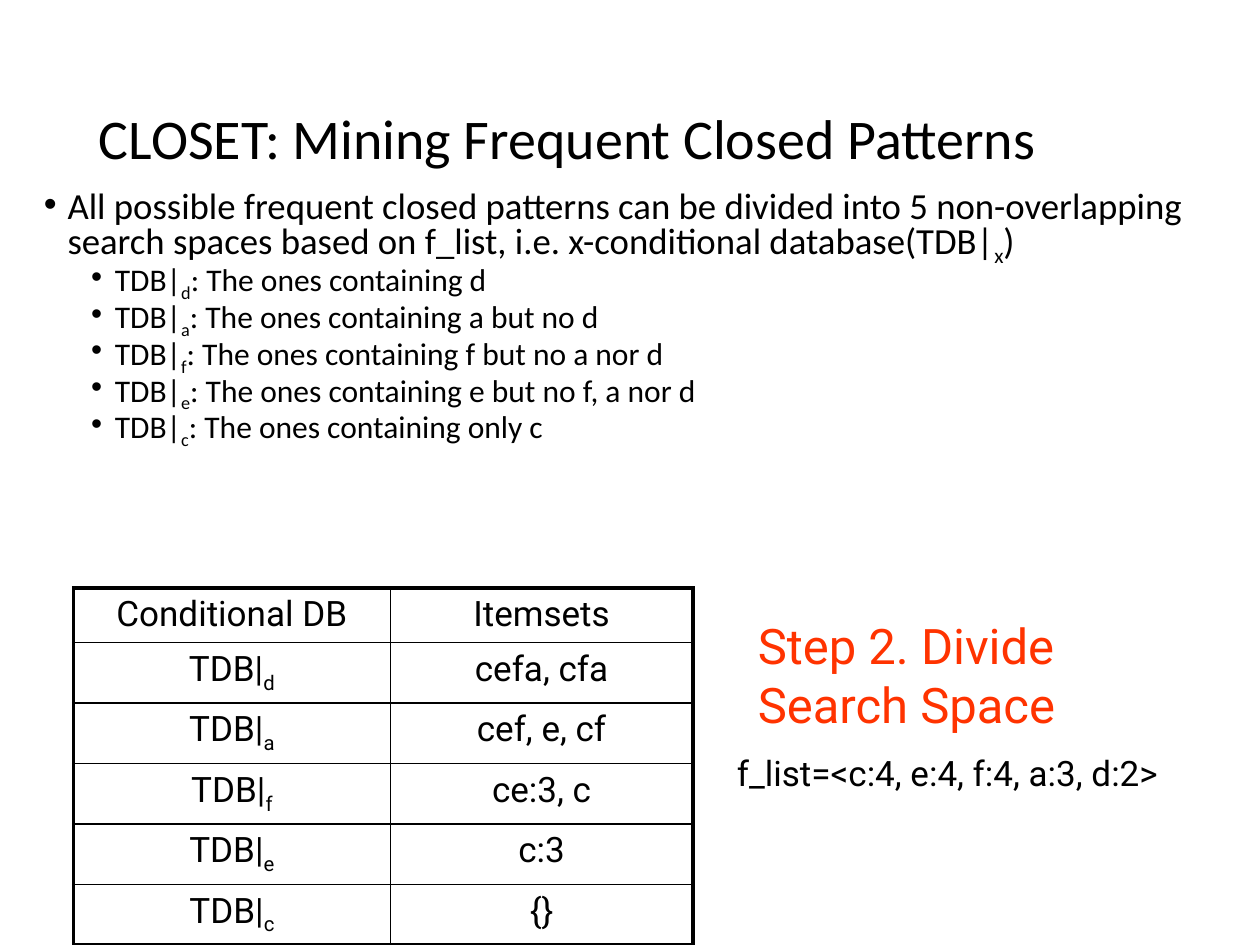
from dataclasses import dataclass

from lxml import etree
from pptx import Presentation
from pptx.dml.color import RGBColor
from pptx.enum import text
from pptx.oxml import ns
from pptx.util import Pt


@dataclass(frozen=True)
class Theme:
    """Fonts, colours and sizes used on the page."""
    heading_font: str = "Calibri"
    label_font: str = "Roboto"
    ink: str = "000000"
    accent: str = "FF3300"
    title: float = 32
    lead: float = 21
    item: float = 18
    label: float = 20
    step: float = 28
    outer_line: float = 2.25
    inner_line: float = 1


THEME = Theme()
SUBSPACES = [
    ("d", ": The ones containing d", "cefa, cfa"),
    ("a", ": The ones containing a but no d", "cef, e, cf"),
    ("f", ": The ones containing f but no a nor d", "ce:3, c"),
    ("e", ": The ones containing e but no f, a nor d", "c:3"),
    ("c", ": The ones containing only c", "{}"),
]


def write(para, parts, font, size, color=THEME.ink):
    """Fill a paragraph; every second part is a subscript."""
    for index, part in enumerate(parts):
        span = para.add_run()
        span.text = part
        span.font.name = font
        span.font.size = Pt(size)
        span.font.color.rgb = RGBColor.from_string(color)
        if index % 2:
            span.font._element.set("baseline", "-25000")


def add_box(page, left, top, width, height, wrap=True):
    """Add an empty text box and return its text frame."""
    frame = page.shapes.add_textbox(Pt(left), Pt(top), Pt(width), Pt(height)).text_frame
    frame.word_wrap = wrap
    return frame


def add_bullet(para, level, indent, before):
    """Give a paragraph a hanging bullet and tight lines."""
    para.level = level
    para.line_spacing = 0.7
    para.space_before = Pt(before)
    props = para._p.get_or_add_pPr()
    props.set("marL", str(Pt(indent)))
    props.set("indent", str(Pt(-13.5)))
    etree.SubElement(props, ns.qn("a:buFont")).set("typeface", "Arial")
    etree.SubElement(props, ns.qn("a:buChar")).set("char", "•")


def set_borders(cell, widths):
    """Draw left, right, top and bottom borders of a cell."""
    props = cell._tc.get_or_add_tcPr()
    for index, (side, width) in enumerate(zip("LRTB", widths)):
        line = etree.Element(ns.qn(f"a:ln{side}"), w=str(Pt(width)))
        fill = etree.SubElement(line, ns.qn("a:solidFill"))
        etree.SubElement(fill, ns.qn("a:srgbClr")).set("val", THEME.ink)
        props.insert(index, line)


def add_database_table(page, rows, left, top, widths, row_height):
    """Add the table with a heavy frame and thin inner lines."""
    last_row, last_column = len(rows) - 1, len(widths) - 1
    table = page.shapes.add_table(len(rows), len(widths), Pt(left), Pt(top),
                                  Pt(sum(widths)), Pt(row_height * len(rows))).table
    table.first_row = table.horz_banding = False
    for column, width in zip(table.columns, widths):
        column.width = Pt(width)
    for r, values in enumerate(rows):
        table.rows[r].height = Pt(row_height)
        for c, parts in enumerate(values):
            cell = table.cell(r, c)
            cell.fill.background()
            para = cell.text_frame.paragraphs[0]
            para.alignment = text.PP_ALIGN.CENTER
            write(para, parts, THEME.label_font, THEME.label)
            edges = (c == 0, c == last_column, r == 0, r == last_row)
            set_borders(cell, [THEME.outer_line if edge else THEME.inner_line
                               for edge in edges])


def add_search_spaces(page):
    """Add the lead sentence and one bullet for each search space."""
    frame = add_box(page, 18, 108, 672, 401.8)
    lead = ["All possible frequent closed patterns can be divided into 5 "
            "non-overlapping search spaces based on f_list, i.e. "
            "x-conditional database(TDB|", "x", ")"]
    para = frame.paragraphs[0]
    add_bullet(para, 0, 13.5, 7.5)
    write(para, lead, THEME.heading_font, THEME.lead)
    for name, meaning, _ in SUBSPACES:
        para = frame.add_paragraph()
        add_bullet(para, 1, 40.5, 3.8)
        write(para, ["TDB|", name, meaning], THEME.heading_font, THEME.item)


def main():
    """Build the page and save the deck."""
    deck = Presentation()
    deck.slide_width, deck.slide_height = Pt(720), Pt(540)
    page = deck.slides.add_slide(deck.slide_layouts[6])

    title = add_box(page, 49.5, 28.8, 621, 104.4)
    title.vertical_anchor = text.MSO_ANCHOR.MIDDLE
    title.paragraphs[0].line_spacing = 0.9
    write(title.paragraphs[0], ["CLOSET: Mining Frequent Closed Patterns"],
          THEME.heading_font, THEME.title)

    add_search_spaces(page)

    rows = [[["Conditional DB"], ["Itemsets"]]]
    rows += [[["TDB|", name], [itemsets]] for name, _, itemsets in SUBSPACES]
    add_database_table(page, rows, 42, 336, [181, 173], 31.2)

    f_list = add_box(page, 414, 426, 286.5, 31.2, wrap=False)
    write(f_list.paragraphs[0], ["f_list=<c:4, e:4, f:4, a:3, d:2>"],
          THEME.label_font, THEME.label)

    step = add_box(page, 426, 348, 276, 75)
    write(step.paragraphs[0], ["Step 2. Divide Search Space"],
          THEME.label_font, THEME.step, THEME.accent)

    deck.save("out.pptx")


main()
